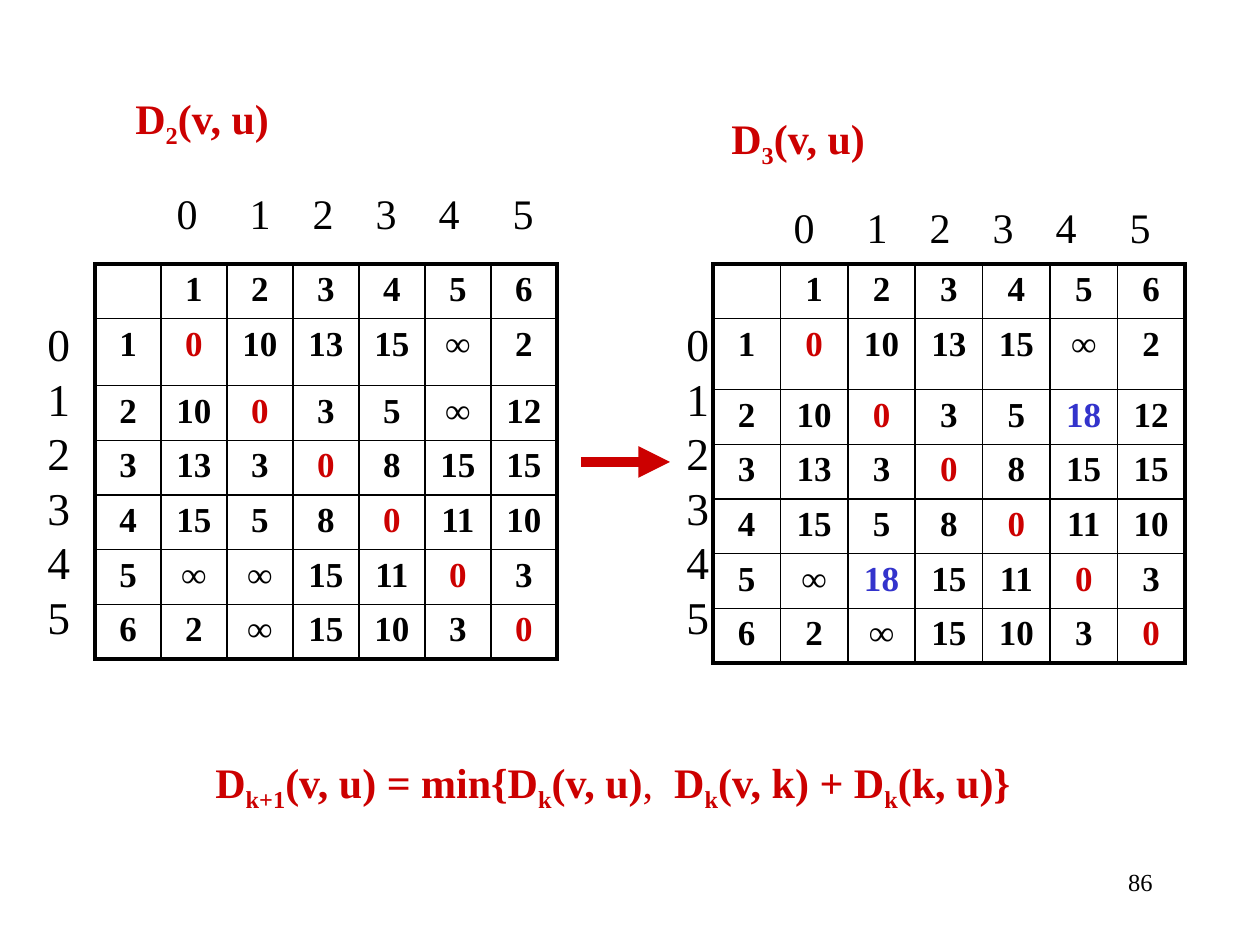
from dataclasses import dataclass

from lxml.etree import SubElement
from pptx import Presentation
from pptx.dml.color import RGBColor
from pptx.enum.shapes import MSO_CONNECTOR
from pptx.enum.text import PP_ALIGN
from pptx.oxml.ns import qn
from pptx.util import Emu, Pt

PX_PER_INCH = 126


@dataclass(frozen=True)
class Theme:
    font: str = "Times New Roman"
    black: str = "000000"
    red: str = "CC0000"
    blue: str = "3333CC"
    formula_size: int = 24
    row_label_size: int = 26
    cell_size: int = 20
    page_size: int = 14
    inner_border: float = 1
    outer_border: float = 2.25
    arrow_width: int = 6


@dataclass(frozen=True)
class Piece:
    text: str
    bold: bool = False
    subscript: bool = False


@dataclass(frozen=True)
class Box:
    left: int
    top: int
    width: int
    height: int


@dataclass(frozen=True)
class Matrix:
    step: str
    title: Box
    column_labels: Box
    row_labels: Box
    table: Box
    first_row_height: int
    values: list[list[str]]
    changed: frozenset[tuple[int, int]] = frozenset()


THEME = Theme()
INDICES = [str(index) for index in range(6)]
INDEX_TABS = (73, 136, 199, 262, 336)
ROW_HEIGHT = 54

DISTANCES = [line.split() for line in (
    "0 10 13 15 ∞ 2",
    "10 0 3 5 ∞ 12",
    "13 3 0 8 15 15",
    "15 5 8 0 11 10",
    "∞ ∞ 15 11 0 3",
    "2 ∞ 15 10 3 0",
)]
CHANGED = frozenset({(1, 4), (4, 1)})
NEXT_DISTANCES = [["18" if (row, column) in CHANGED else value
                   for column, value in enumerate(line)]
                  for row, line in enumerate(DISTANCES)]

MATRICES = [
    Matrix("2", Box(123, 86, 483, 63), Box(154, 181, 413, 63),
           Box(35, 310, 105, 340), Box(95, 264, 462, 395), 67, DISTANCES),
    Matrix("3", Box(719, 106, 483, 63), Box(771, 195, 413, 63),
           Box(674, 310, 105, 340), Box(713, 264, 472, 398), 71,
           NEXT_DISTANCES, CHANGED),
]


def bold(text: str) -> Piece:
    return Piece(text, bold=True)


def sub(text: str) -> Piece:
    return Piece(text, bold=True, subscript=True)


FORMULA = [bold("D"), sub("k+1"), bold("(v, u) = min{D"), sub("k"), bold("(v, u)"),
           Piece(",  "), bold("D"), sub("k"), bold("(v, k) + D"), sub("k"),
           bold("(k, u)}")]


def px(value: float) -> Emu:
    return Emu(round(value * 914400 / PX_PER_INCH))


def place(box: Box) -> tuple[Emu, ...]:
    return px(box.left), px(box.top), px(box.width), px(box.height)


def write_text(frame, lines: list[list[Piece]], *, size: int, color: str = THEME.black,
               align=PP_ALIGN.LEFT, tabs: tuple[int, ...] = ()) -> None:
    """Fill a text frame, one paragraph for each list of pieces."""
    for number, pieces in enumerate(lines):
        paragraph = frame.paragraphs[0] if number == 0 else frame.add_paragraph()
        paragraph.alignment = align
        if tabs:
            tab_list = SubElement(paragraph._p.get_or_add_pPr(), qn("a:tabLst"))
            for position in tabs:
                SubElement(tab_list, qn("a:tab"), pos=str(px(position)), algn="l")
        for piece in pieces:
            run = paragraph.add_run()
            run.text = piece.text
            run.font.name = THEME.font
            run.font.size = Pt(size)
            run.font.bold = piece.bold
            run.font.color.rgb = RGBColor.from_string(color)
            if piece.subscript:
                run._r.get_or_add_rPr().set("baseline", "-25000")


def add_text(slide, box: Box, lines: list[list[Piece]], *, inset: int = 0, **text_format) -> None:
    frame = slide.shapes.add_textbox(*place(box)).text_frame
    frame.word_wrap = True
    frame.margin_left += px(inset)
    write_text(frame, lines, **text_format)


def set_borders(cell, widths: dict[str, float]) -> None:
    properties = cell._tc.get_or_add_tcPr()
    for position, (side, width) in enumerate(widths.items()):
        line = properties.makeelement(qn(f"a:ln{side}"), w=str(Pt(width)))
        properties.insert(position, line)
        fill = SubElement(line, qn("a:solidFill"))
        SubElement(fill, qn("a:srgbClr"), val=THEME.black)


def add_matrix_table(slide, matrix: Matrix) -> None:
    numbers = [str(number) for number in range(1, len(matrix.values) + 1)]
    grid = [["", *numbers]] + [[number, *line] for number, line in zip(numbers, matrix.values)]
    count = len(grid)
    last = count - 1
    table = slide.shapes.add_table(count, count, *place(matrix.table)).table
    table.first_row = table.horz_banding = False
    for index in range(count):
        table.columns[index].width = px(matrix.table.width / count)
        table.rows[index].height = px(matrix.first_row_height if index == 1 else ROW_HEIGHT + 0.6)

    for row, line in enumerate(grid):
        for column, value in enumerate(line):
            cell = table.cell(row, column)
            cell.fill.background()
            outer = {"L": column == 0, "R": column == last, "T": row == 0, "B": row == last}
            set_borders(cell, {side: THEME.outer_border if edge else THEME.inner_border
                               for side, edge in outer.items()})
            color = THEME.black
            if row == column:
                color = THEME.red
            elif (row - 1, column - 1) in matrix.changed:
                color = THEME.blue
            if value:
                write_text(cell.text_frame, [[bold(value)]], size=THEME.cell_size,
                           color=color, align=PP_ALIGN.CENTER)


def add_matrix(slide, matrix: Matrix) -> None:
    add_text(slide, matrix.title, [[bold("D"), sub(matrix.step), bold("(v, u)")]],
             size=THEME.formula_size, color=THEME.red)
    add_text(slide, matrix.column_labels, [[Piece("\t".join(INDICES))]],
             size=THEME.formula_size, inset=10, tabs=INDEX_TABS)
    add_text(slide, matrix.row_labels, [[Piece(index)] for index in INDICES],
             size=THEME.row_label_size)
    add_matrix_table(slide, matrix)


def add_arrow(slide, left: int, right: int, y: int) -> None:
    arrow = slide.shapes.add_connector(MSO_CONNECTOR.STRAIGHT, px(left), px(y), px(right), px(y))
    arrow.line.color.rgb = RGBColor.from_string(THEME.red)
    arrow.line.width = Pt(THEME.arrow_width)
    SubElement(arrow.line._get_or_add_ln(), qn("a:tailEnd"), type="triangle")
    SubElement(arrow._element.spPr, qn("a:effectLst"))


def main() -> None:
    presentation = Presentation()
    presentation.slide_width, presentation.slide_height = px(1260), px(945)
    slide = presentation.slides.add_slide(presentation.slide_layouts[6])

    # Distance matrices before and after the step
    for matrix in MATRICES:
        add_matrix(slide, matrix)
    add_arrow(slide, 581, 670, 462)

    # Recurrence and page number
    add_text(slide, Box(203, 750, 839, 63), [FORMULA],
             size=THEME.formula_size, color=THEME.red)
    add_text(slide, Box(903, 861, 262, 63), [[Piece("86")]],
             size=THEME.page_size, align=PP_ALIGN.RIGHT)

    presentation.save("out.pptx")


if __name__ == "__main__":
    main()
